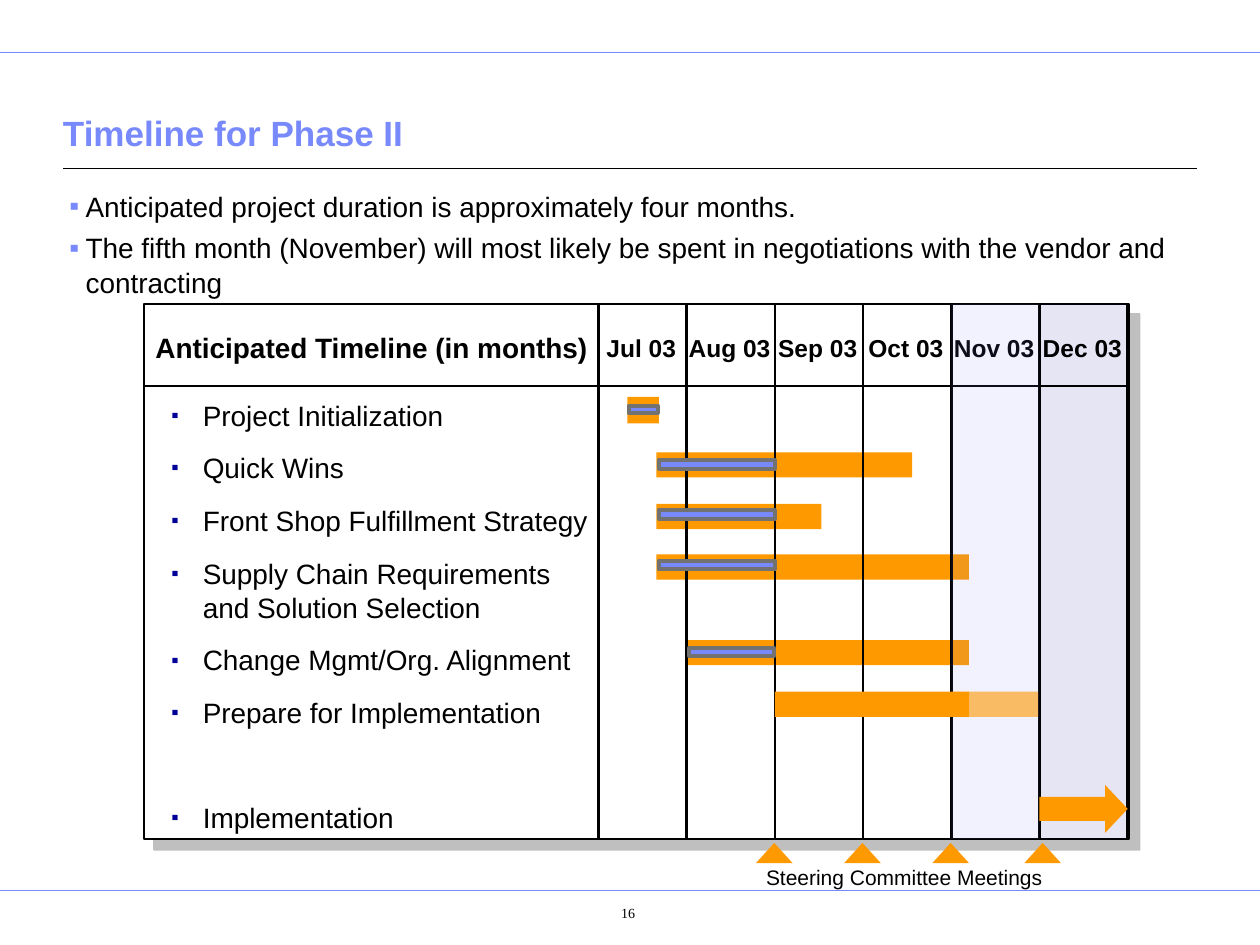
from typing import NamedTuple

from lxml import etree
from pptx import Presentation
from pptx.dml.color import RGBColor
from pptx.enum.shapes import MSO_CONNECTOR, MSO_SHAPE
from pptx.enum.text import MSO_ANCHOR, PP_ALIGN
from pptx.oxml.ns import qn
from pptx.util import Inches, Pt

RECTANGLE = MSO_SHAPE.RECTANGLE
TRIANGLE = MSO_SHAPE.ISOSCELES_TRIANGLE
RIGHT_ARROW = MSO_SHAPE.RIGHT_ARROW
STRAIGHT = MSO_CONNECTOR.STRAIGHT
LEFT, CENTER = PP_ALIGN.LEFT, PP_ALIGN.CENTER
TOP, BOTTOM = MSO_ANCHOR.TOP, MSO_ANCHOR.BOTTOM

COLORS = {
    "black": "000000",
    "white": "FFFFFF",
    "periwinkle": "7889FB",
    "navy": "000099",
    "orange": "FF9900",
    "gray": "727272",
    "shadow": "808080",
}


class Box(NamedTuple):
    left: float
    top: float
    width: float
    height: float


class Bullet(NamedTuple):
    color: str
    indent: float
    size_percent: int = 100


class Bar(NamedTuple):
    left: float
    top: float
    width: float
    height: float = 0.2


FRAME = Box(1.14, 2.41, 7.82, 4.25)
FRAME_BOTTOM = FRAME.top + FRAME.height
MONTHS = ["Jul 03", "Aug 03", "Sep 03", "Oct 03", "Nov 03", "Dec 03"]
MONTH_WIDTH = 0.7
FIRST_MONTH = 4.75

POINTS = [
    "Anticipated project duration is approximately four months.",
    "The fifth month (November) will most likely be spent in negotiations "
    "with the vendor and contracting",
]
TASKS = [
    "Project Initialization",
    "Quick Wins",
    "Front Shop Fulfillment Strategy",
    "Supply Chain Requirements\vand Solution Selection",
    "Change Mgmt/Org. Alignment",
    "Prepare for Implementation",
    "Implementation",
]
PLANNED = [
    Bar(4.98, 3.15, 0.25, 0.21),
    Bar(5.21, 3.59, 2.03),
    Bar(5.21, 4.0, 1.31),
    Bar(5.21, 4.4, 2.48),
    Bar(5.45, 5.08, 2.24),
]
COMPLETED = [
    Bar(4.99, 3.22, 0.23, 0.06),
    Bar(5.23, 3.65, 0.92, 0.07),
    Bar(5.23, 4.05, 0.92, 0.07),
    Bar(5.23, 4.45, 0.92, 0.07),
    Bar(5.47, 5.14, 0.67, 0.07),
]
PREPARATION = Bar(6.15, 5.49, 1.54)
PREPARATION_TAIL = Bar(7.68, 5.49, 0.56)
MEETINGS = [6.0, 6.7, 7.4, 8.13]


def color_of(name: str) -> RGBColor:
    return RGBColor.from_string(COLORS[name])


def add_color(parent, name: str, alpha: int | None = None) -> None:
    color = etree.SubElement(parent, qn("a:srgbClr"), val=COLORS[name])
    if alpha is not None:
        etree.SubElement(color, qn("a:alpha"), val=str(alpha * 1000))


def add_bullet(paragraph, bullet: Bullet) -> None:
    properties = paragraph._p.get_or_add_pPr()
    properties.set("marL", str(Inches(bullet.indent)))
    properties.set("indent", str(-Inches(bullet.indent)))
    add_color(etree.SubElement(properties, qn("a:buClr")), bullet.color)
    etree.SubElement(properties, qn("a:buSzPct"), val=str(bullet.size_percent * 1000))
    etree.SubElement(properties, qn("a:buFont"), typeface="Arial")
    etree.SubElement(properties, qn("a:buChar"), char="▪")


def add_text(slide, box: Box, lines: list[str], *, size: float, font: str = "Arial",
             color: str = "black", bold: bool = False, align=LEFT, anchor=TOP,
             bullet: Bullet | None = None, gap: float = 0, spacing: float = 1.0):
    frame = slide.shapes.add_textbox(*map(Inches, box)).text_frame
    frame.word_wrap = True
    frame.vertical_anchor = anchor
    frame.margin_left = frame.margin_right = frame.margin_top = frame.margin_bottom = 0
    for index, line in enumerate(lines):
        paragraph = frame.add_paragraph() if index else frame.paragraphs[0]
        paragraph.text = line
        paragraph.alignment = align
        paragraph.line_spacing = spacing
        if index:
            paragraph.space_before = Pt(gap)
        if bullet:
            add_bullet(paragraph, bullet)
        for run in paragraph.runs:
            run.font.name = font
            run.font.size = Pt(size)
            run.font.bold = bold
            run.font.color.rgb = color_of(color)
    return frame


def add_shape(slide, kind, box: Box | Bar, fill: str, *, alpha: int | None = None,
              line: str | None = None, line_width: float = 0):
    shape = slide.shapes.add_shape(kind, *map(Inches, box))
    shape.shadow.inherit = False
    shape.fill.solid()
    shape.fill.fore_color.rgb = color_of(fill)
    if alpha is not None:
        color = shape._element.spPr.find(f"{qn('a:solidFill')}/{qn('a:srgbClr')}")
        etree.SubElement(color, qn("a:alpha"), val=str(alpha * 1000))
    if line:
        shape.line.color.rgb = color_of(line)
        shape.line.width = Pt(line_width)
    else:
        shape.line.fill.background()
    return shape


def add_line(slide, start: tuple[float, float], end: tuple[float, float],
             color: str, width: float) -> None:
    connector = slide.shapes.add_connector(STRAIGHT, *map(Inches, start + end))
    connector.line.color.rgb = color_of(color)
    connector.line.width = Pt(width)
    etree.SubElement(connector._element.spPr, qn("a:effectLst"))


def add_frame(slide) -> None:
    frame = add_shape(slide, RECTANGLE, FRAME, "white", line="black", line_width=1.13)
    effects = frame._element.spPr.find(qn("a:effectLst"))
    shadow = etree.SubElement(effects, qn("a:outerShdw"), dist=str(Pt(8.5)),
                              dir="2700000", algn="ctr", rotWithShape="0")
    add_color(shadow, "shadow", 50)


def month_left(index: int) -> float:
    return FIRST_MONTH + MONTH_WIDTH * index


def add_month_shade(slide, index: int, color: str) -> None:
    box = Box(month_left(index), FRAME.top, MONTH_WIDTH, FRAME.height)
    add_shape(slide, RECTANGLE, box, color, alpha=10)


def main() -> None:
    presentation = Presentation()
    presentation.slide_width, presentation.slide_height = Inches(10), Inches(7.5)
    slide = presentation.slides.add_slide(presentation.slide_layouts[6])

    for top in (0.42, 7.07):
        add_line(slide, (0, top), (10, top), "periwinkle", 0.5)
    add_line(slide, (0.5, 1.34), (9.5, 1.34), "black", 0.75)
    add_text(slide, Box(0.5, 0.69, 9, 0.53), ["Timeline for Phase II"], size=20,
             color="periwinkle", bold=True, anchor=BOTTOM)
    add_text(slide, Box(0.55, 1.49, 8.9, 0.9), POINTS, size=16,
             bullet=Bullet("periwinkle", 0.13), gap=4, spacing=1.04)

    add_frame(slide)
    add_month_shade(slide, 5, "navy")
    add_line(slide, (FRAME.left, 3.06), (FRAME.left + FRAME.width, 3.06), "black", 1.13)
    add_text(slide, Box(1.2, 2.62, 3.5, 0.27), ["Anticipated Timeline (in months)"],
             size=16, bold=True, align=CENTER)
    tasks = add_text(slide, Box(1.36, 3.16, 3.36, 3.37), TASKS, size=16,
                     bullet=Bullet("navy", 0.25, 75), gap=11)
    tasks.paragraphs[-1].space_before = Pt(40.4)
    for index, month in enumerate(MONTHS):
        add_text(slide, Box(month_left(index) - 0.01, 2.64, MONTH_WIDTH, 0.23), [month],
                 size=14, bold=True, align=CENTER)

    for bar in PLANNED:
        add_shape(slide, RECTANGLE, bar, "orange")
    for index in range(len(MONTHS) + 1):
        left = month_left(index)
        add_line(slide, (left, FRAME.top), (left, FRAME_BOTTOM), "black", 1.5)
    add_month_shade(slide, 4, "periwinkle")
    add_shape(slide, RECTANGLE, PREPARATION, "orange")
    add_shape(slide, RECTANGLE, PREPARATION_TAIL, "orange", alpha=60)
    arrow = add_shape(slide, RIGHT_ARROW, Box(month_left(5), 6.23, MONTH_WIDTH, 0.38), "orange")
    arrow.adjustments[1] = 0.47
    for bar in COMPLETED:
        add_shape(slide, RECTANGLE, bar, "periwinkle", line="gray", line_width=2.25)

    for left in MEETINGS:
        add_shape(slide, TRIANGLE, Box(left, 6.69, 0.29, 0.16), "orange")
    add_text(slide, Box(6.08, 6.86, 2.4, 0.2), ["Steering Committee Meetings"], size=12)
    add_text(slide, Box(4.41, 7.18, 1.15, 0.15), ["16"], size=8,
             font="Times New Roman", align=CENTER)
    presentation.save("out.pptx")


if __name__ == "__main__":
    main()
